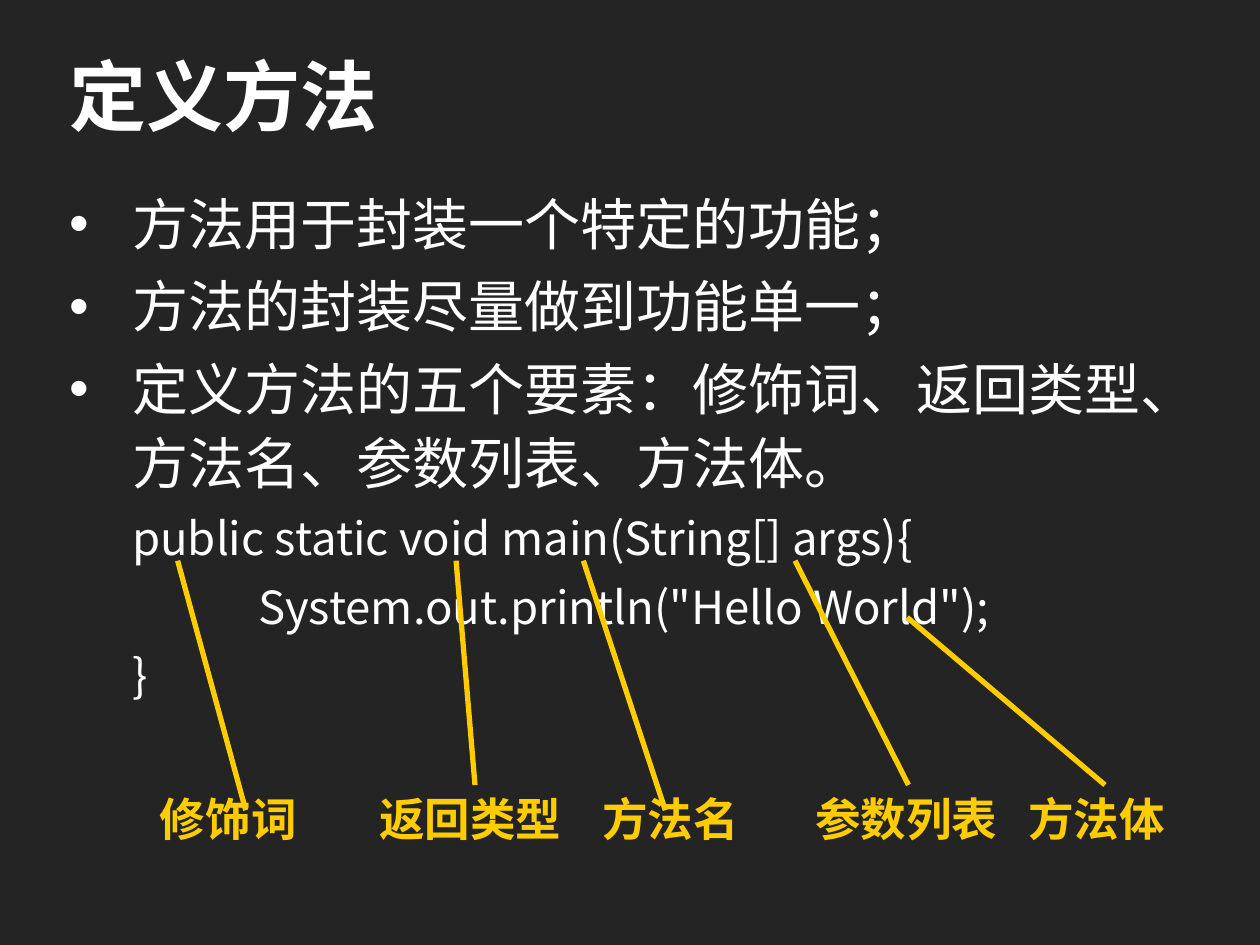
from lxml.etree import SubElement
from pptx import Presentation
from pptx.dml.color import RGBColor
from pptx.enum.shapes import MSO_CONNECTOR
from pptx.enum.text import MSO_ANCHOR
from pptx.oxml.ns import qn
from pptx.util import Inches, Pt

FONT = "Noto Sans CJK SC"
BACKGROUND, WHITE, YELLOW = "242424", "FFFFFF", "FFCC00"

TITLE = "定义方法"
BULLETS = [
    "方法用于封装一个特定的功能；",
    "方法的封装尽量做到功能单一；",
    "定义方法的五个要素：修饰词、返回类型、方法名、参数列表、方法体。",
]
CODE = [
    "public static void main(String[] args){",
    "\tSystem.out.println(\"Hello World\");",
    "}",
]
LABEL_TOP, LABEL_HEIGHT = 6.23, 0.57
LABELS = [
    ("修饰词", 1.16, 1.51, (1.41, 4.45), (1.95, 6.43)),
    ("返回类型", 2.9, 1.78, (3.62, 4.45), (3.77, 6.23)),
    ("方法名", 4.67, 1.45, (4.63, 4.45), (5.28, 6.43)),
    ("参数列表", 6.36, 1.93, (6.31, 4.45), (7.21, 6.23)),
    ("方法体", 8.05, 1.63, (7.2, 4.9), (8.77, 6.23)),
]


def color(value):
    return RGBColor.from_string(value)


def add_box(page, left, top, width, height, anchor=MSO_ANCHOR.TOP):
    box = page.shapes.add_textbox(Inches(left), Inches(top), Inches(width), Inches(height))
    frame = box.text_frame
    frame.word_wrap = True
    frame.vertical_anchor = anchor
    return frame


def add_text(para, text, size, fill, bold=False):
    span = para.add_run()
    span.text = text
    span.font.name = FONT
    span.font.size = Pt(size)
    span.font.bold = bold
    span.font.color.rgb = color(fill)
    SubElement(span.font._element, qn("a:ea"), typeface=FONT)


def add_body(page):
    frame = add_box(page, 0.45, 1.4, 9.11, 5.55)
    lines = [(text, 32, True) for text in BULLETS] + [(text, 26, False) for text in CODE]
    for index, (text, size, bulleted) in enumerate(lines):
        para = frame.add_paragraph() if index else frame.paragraphs[0]
        para.line_spacing = 1.1
        if index:
            para.space_before = Pt(5)
        properties = para._p.get_or_add_pPr()
        properties.set("marL", str(Inches(0.5)))
        properties.set("indent", str(Inches(-0.5 if bulleted else 0)))
        properties.set("defTabSz", str(Inches(1)))
        if bulleted:
            SubElement(properties, qn("a:buFont"), typeface="Arial")
            SubElement(properties, qn("a:buChar"), char="•")
        else:
            SubElement(properties, qn("a:buNone"))
        add_text(para, text, size, WHITE)


def add_pointer(page, start, end):
    line = page.shapes.add_connector(
        MSO_CONNECTOR.STRAIGHT, *(Inches(value) for value in start + end))
    line.line.color.rgb = color(YELLOW)
    line.line.width = Pt(3)
    SubElement(line._element.spPr, qn("a:effectLst"))


def main():
    deck = Presentation()
    deck.slide_width, deck.slide_height = Inches(10), Inches(7.5)
    page = deck.slides.add_slide(deck.slide_layouts[6])
    page.background.fill.solid()
    page.background.fill.fore_color.rgb = color(BACKGROUND)

    title = add_box(page, 0.45, 0.23, 9.09, 1.04, MSO_ANCHOR.MIDDLE)
    add_text(title.paragraphs[0], TITLE, 44, WHITE, bold=True)
    add_body(page)
    for text, left, width, start, end in LABELS:
        label = add_box(page, left, LABEL_TOP, width, LABEL_HEIGHT)
        label.margin_left = label.margin_right = Inches(0.11)
        add_text(label.paragraphs[0], text, 26, YELLOW, bold=True)
        add_pointer(page, start, end)
    deck.save("out.pptx")


if __name__ == "__main__":
    main()
